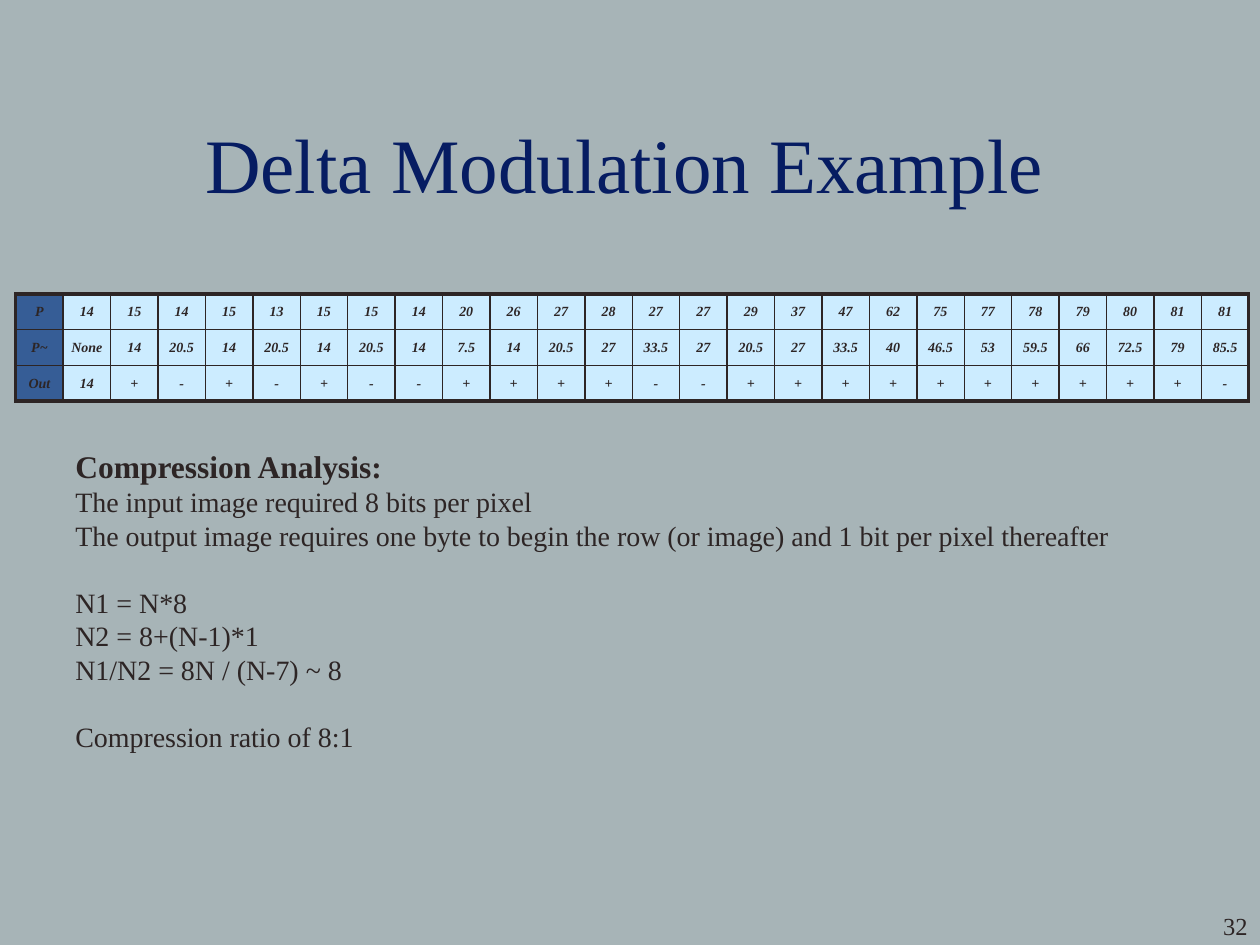
import lxml.etree
import pptx
import pptx.dml.color
import pptx.enum.text
import pptx.oxml.ns
import pptx.util

Pt = pptx.util.Pt
ALIGN = pptx.enum.text.PP_ALIGN
MIDDLE = pptx.enum.text.MSO_ANCHOR.MIDDLE
FIT = pptx.enum.text.MSO_AUTO_SIZE

GREY = pptx.dml.color.RGBColor(0xA7, 0xB4, 0xB7)
INK = pptx.dml.color.RGBColor(0x2D, 0x25, 0x25)
NAVY = pptx.dml.color.RGBColor(0x06, 0x1C, 0x62)
BLUE = pptx.dml.color.RGBColor(0x36, 0x5D, 0x96)
PALE = pptx.dml.color.RGBColor(0xCC, 0xEC, 0xFF)

# Pixel values, predicted values and coded output
ROWS = [
    "P 14 15 14 15 13 15 15 14 20 26 27 28 27 27 29 37 47 62 75 77 78 79 80 81 81",
    "P~ None 14 20.5 14 20.5 14 20.5 14 7.5 14 20.5 27 33.5 27 20.5 27 33.5 40 "
    "46.5 53 59.5 66 72.5 79 85.5",
    "Out 14 + - + - + - - + + + + - - + + + + + + + + + + -",
]

# Text, size, bold, space before
NOTES = [
    ("Compression Analysis:", 18, True, 0),
    ("The input image required 8 bits per pixel", 16, False, 0),
    ("The output image requires one byte to begin the row (or image) "
     "and 1 bit per pixel thereafter", 16, False, 0),
    ("N1 = N*8", 16, False, 19),
    ("N2 = 8+(N-1)*1", 16, False, 0),
    ("N1/N2 = 8N / (N-7) ~ 8", 16, False, 0),
    ("Compression ratio of 8:1", 16, False, 19),
]


class Deck:
    face = "Times New Roman"
    thin, thick = 1, 2.25

    def __init__(self, prs):
        self.slide = prs.slides.add_slide(prs.slide_layouts[5])
        fill = self.slide.background.fill
        fill.solid()
        fill.fore_color.rgb = GREY

    def add_run(self, para, text, size, color=INK, bold=False, italic=False):
        run = para.add_run()
        run.text = text
        font = run.font
        font.name, font.size = self.face, Pt(size)
        font.bold, font.italic = bold, italic
        font.color.rgb = color

    def title(self, text, left, top, width, height):
        shape = self.slide.shapes.title
        shape.left, shape.top = Pt(left), Pt(top)
        shape.width, shape.height = Pt(width), Pt(height)
        frame = shape.text_frame
        frame.auto_size = FIT.NONE
        frame.vertical_anchor = MIDDLE
        para = frame.paragraphs[0]
        para.alignment = ALIGN.CENTER
        self.add_run(para, text, 44, NAVY)

    def text(self, lines, left, top, width, height, align=ALIGN.LEFT, fit=FIT.NONE):
        box = self.slide.shapes.add_textbox(Pt(left), Pt(top), Pt(width), Pt(height))
        frame = box.text_frame
        frame.word_wrap = True
        frame.auto_size = fit
        for i, (text, size, bold, gap) in enumerate(lines):
            para = frame.add_paragraph() if i else frame.paragraphs[0]
            para.alignment = align
            para.space_before = Pt(gap)
            self.add_run(para, text, size, bold=bold)

    def edge(self, cell, side, width):
        qn = pptx.oxml.ns.qn
        props = cell._tc.get_or_add_tcPr()
        line = lxml.etree.SubElement(props, qn("a:ln" + side), w=str(Pt(width)))
        fill = lxml.etree.SubElement(line, qn("a:solidFill"))
        lxml.etree.SubElement(fill, qn("a:srgbClr"), val=str(INK))

    def table(self, rows, left, top, wide, high):
        count, span = len(rows), len(rows[0])
        grid = self.slide.shapes.add_table(
            count, span, Pt(left), Pt(top), Pt(wide * span), Pt(high * count)).table
        grid.first_row = grid.horz_banding = False
        for col in grid.columns:
            col.width = Pt(wide)
        for r, row in enumerate(rows):
            grid.rows[r].height = Pt(high)
            for c, text in enumerate(row):
                cell = grid.cell(r, c)
                # Thick outer frame, thin inner lines
                outer = {"L": c == 0, "R": c == span - 1,
                         "T": r == 0, "B": r == count - 1}
                for side, rim in outer.items():
                    self.edge(cell, side, self.thick if rim else self.thin)
                cell.fill.solid()
                cell.fill.fore_color.rgb = PALE if c else BLUE
                cell.margin_left = cell.margin_right = Pt(3.6)
                cell.margin_top = cell.margin_bottom = Pt(3.6)
                cell.vertical_anchor = MIDDLE
                para = cell.text_frame.paragraphs[0]
                para.alignment = ALIGN.CENTER
                self.add_run(para, text, 8, bold=True, italic=True)


def main():
    prs = pptx.Presentation()
    prs.slide_width, prs.slide_height = Pt(720), Pt(540)
    deck = Deck(prs)

    # Slide number and title
    deck.text([("32", 14, False, 0)], 600, 517, 120, 36, ALIGN.RIGHT)
    deck.title("Delta Modulation Example", 18, 48, 678, 90)

    # Modulation table
    deck.table([row.split() for row in ROWS], 9, 168, 27.1, 20.4)

    # Compression analysis
    deck.text(NOTES, 36, 252, 648, 183, fit=FIT.SHAPE_TO_FIT_TEXT)

    prs.save("out.pptx")


if __name__ == "__main__":
    main()
